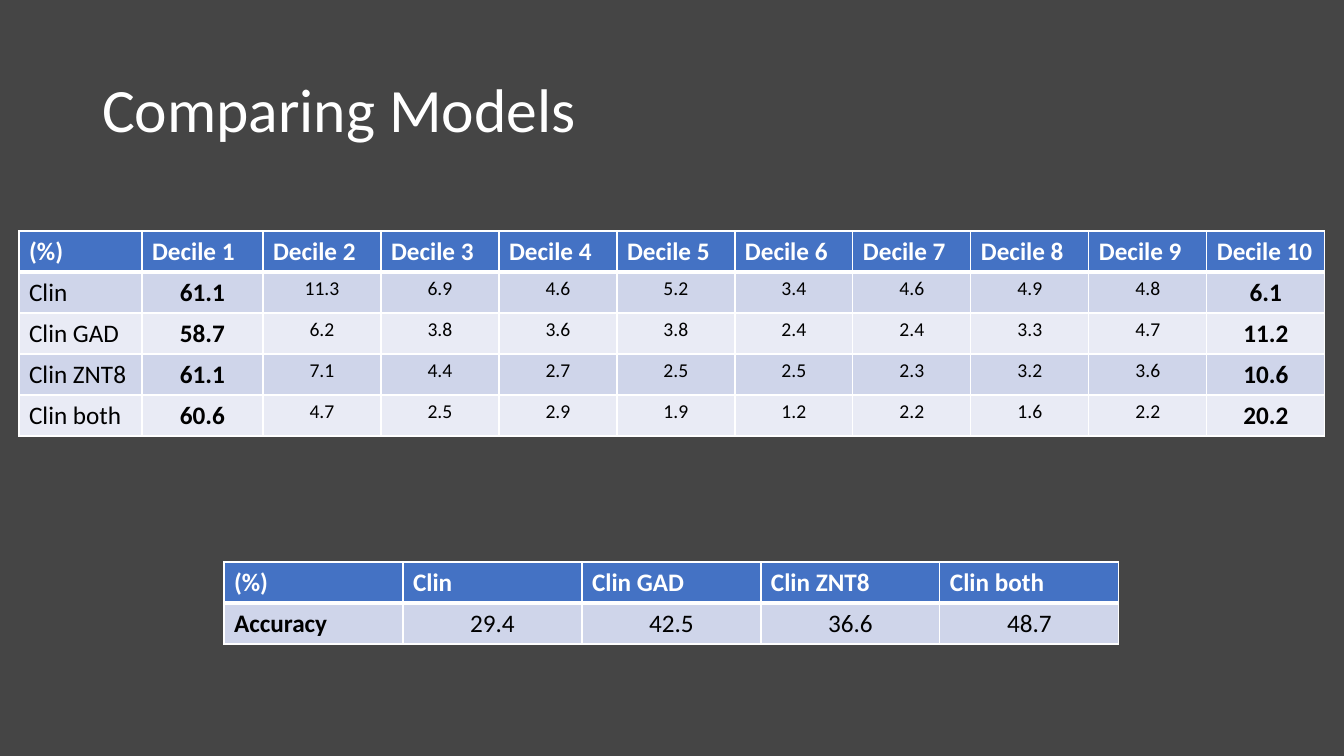
"""Build a slide comparing clinical models by decile and by accuracy."""
from lxml import etree
from pptx import Presentation
from pptx.dml.color import RGBColor
from pptx.enum.text import MSO_ANCHOR, PP_ALIGN
from pptx.oxml.ns import qn
from pptx.util import Emu, Pt

LEFT, CENTER = PP_ALIGN.LEFT, PP_ALIGN.CENTER
MIDDLE = MSO_ANCHOR.MIDDLE
SLIDE_WIDTH, SLIDE_HEIGHT = 1344, 756
ROW_HEIGHT = 41
WHITE, BLACK, HEADER_BLUE = "FFFFFF", "000000", "4472C4"
BANDS = ["CFD5EA", "E9EBF5"]


def px(length):
    return Emu(round(length * 12192000 / SLIDE_WIDTH))


def add_run(paragraph, text, size, color, bold=False):
    run = paragraph.add_run()
    run.text = text
    run.font.name = "Calibri"
    run.font.size = Pt(size)
    run.font.bold = bold
    run.font.color.rgb = RGBColor.from_string(color)


deck = Presentation()
deck.slide_width, deck.slide_height = px(SLIDE_WIDTH), px(SLIDE_HEIGHT)
slide = deck.slides.add_slide(deck.slide_layouts[5])
slide.background.fill.solid()
slide.background.fill.fore_color.rgb = RGBColor.from_string("454545")

title = slide.shapes.title
title.left, title.top, title.width, title.height = px(92), px(40), px(1159), px(146)
title.text_frame.vertical_anchor = MIDDLE
heading = title.text_frame.paragraphs[0]
heading.alignment = LEFT
heading.line_spacing = 0.9
add_run(heading, "Comparing Models", 44, WHITE)

decile_rows = [
    ["(%)"] + [f"Decile {number}" for number in range(1, 11)],
    ["Clin", "61.1", "11.3", "6.9", "4.6", "5.2", "3.4", "4.6", "4.9", "4.8", "6.1"],
    ["Clin GAD", "58.7", "6.2", "3.8", "3.6", "3.8", "2.4", "2.4", "3.3", "4.7", "11.2"],
    ["Clin ZNT8", "61.1", "7.1", "4.4", "2.7", "2.5", "2.5", "2.3", "3.2", "3.6", "10.6"],
    ["Clin both", "60.6", "4.7", "2.5", "2.9", "1.9", "1.2", "2.2", "1.6", "2.2", "20.2"],
]
accuracy_rows = [
    ["(%)", "Clin", "Clin GAD", "Clin ZNT8", "Clin both"],
    ["Accuracy", "29.4", "42.5", "36.6", "48.7"],
]
comparisons = [
    (19, 231, [123, 121] + [118] * 9, decile_rows, {1, 10}, set(range(2, 10))),
    (224, 562, [179] * 5, accuracy_rows, {0}, set()),
]

for left, top, widths, rows, bold_columns, small_columns in comparisons:
    table = slide.shapes.add_table(
        len(rows), len(widths), px(left), px(top), px(sum(widths)), px(ROW_HEIGHT * len(rows))
    ).table
    for column, width in zip(table.columns, widths):
        column.width = px(width)
    for r, values in enumerate(rows):
        table.rows[r].height = px(ROW_HEIGHT)
        is_header = r == 0
        for c, value in enumerate(values):
            cell = table.cell(r, c)
            properties = cell._tc.get_or_add_tcPr()
            edges = {"L": 1, "R": 1, "T": 3 if r == 1 else 1, "B": 3 if is_header else 1}
            for side, points in edges.items():
                border = etree.SubElement(properties, qn(f"a:ln{side}"), w=str(Pt(points)))
                border_fill = etree.SubElement(border, qn("a:solidFill"))
                etree.SubElement(border_fill, qn("a:srgbClr"), val=WHITE)
            cell.fill.solid()
            cell_color = HEADER_BLUE if is_header else BANDS[(r - 1) % 2]
            cell.fill.fore_color.rgb = RGBColor.from_string(cell_color)
            paragraph = cell.text_frame.paragraphs[0]
            paragraph.alignment = LEFT if is_header or c == 0 else CENTER
            size = 14 if c in small_columns and not is_header else 18
            text_color = WHITE if is_header else BLACK
            add_run(paragraph, value, size, text_color, is_header or c in bold_columns)

deck.save("out.pptx")
